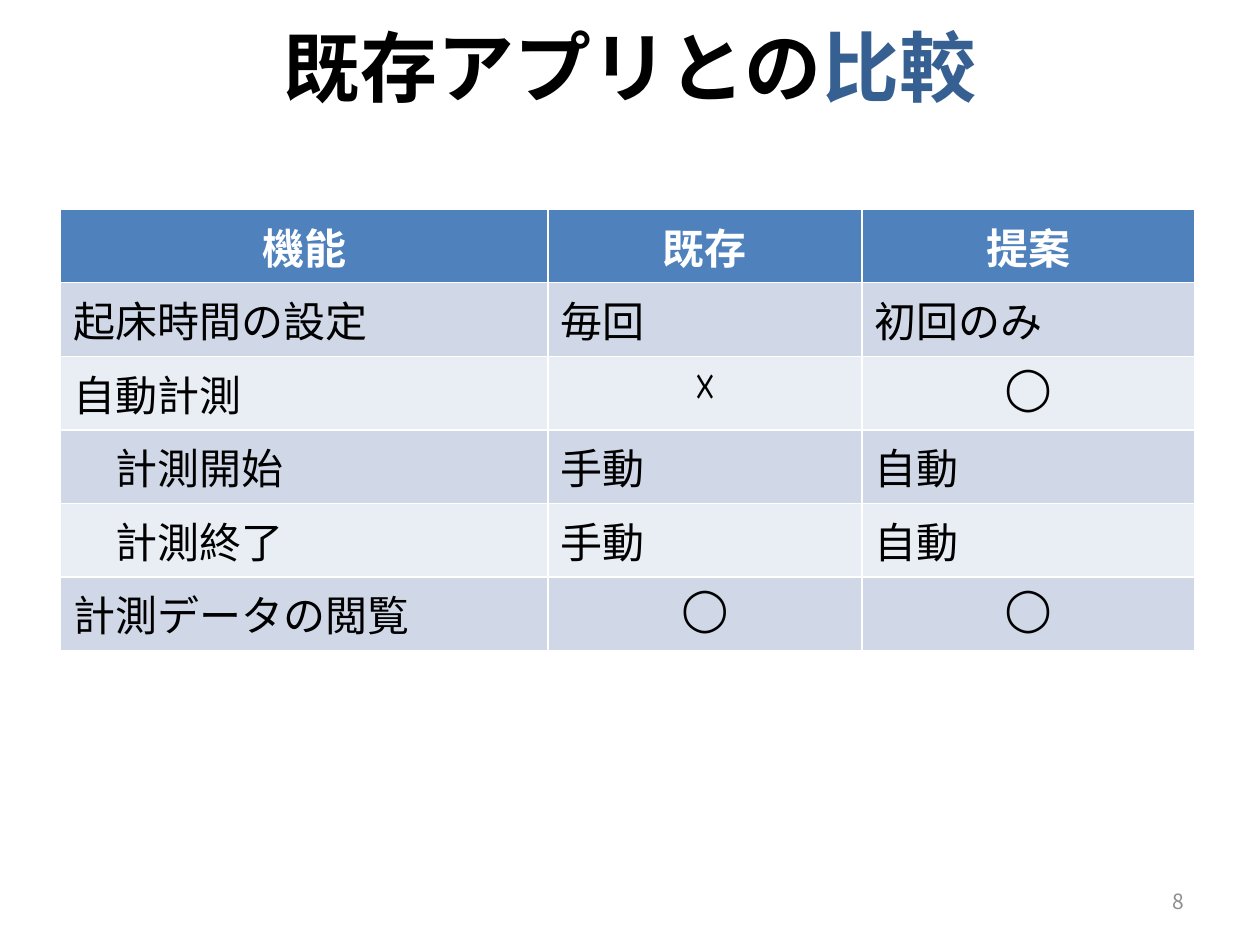
from lxml import etree
from pptx import Presentation
from pptx.dml.color import RGBColor
from pptx.enum.text import MSO_ANCHOR, PP_ALIGN
from pptx.oxml.ns import qn
from pptx.util import Inches, Pt

LEFT, MID, RIGHT = PP_ALIGN.LEFT, PP_ALIGN.CENTER, PP_ALIGN.RIGHT
CENTRE = MSO_ANCHOR.MIDDLE

BLACK = RGBColor(0x00, 0x00, 0x00)
WHITE = RGBColor(0xFF, 0xFF, 0xFF)
NAVY = RGBColor(0x37, 0x60, 0x92)
BLUE = RGBColor(0x4F, 0x81, 0xBD)
GREY = RGBColor(0x8C, 0x8C, 0x8C)
BANDS = RGBColor(0xE9, 0xED, 0xF4), RGBColor(0xD0, 0xD8, 0xE8)
NOTO, LATIN = "Noto Sans CJK JP", "Calibri"

TITLE = [("既存アプリとの", BLACK), ("比較", NAVY)]
PAGE = "8"
HEAD = ("機能", "既存", "提案")
ROWS = [
    ("起床時間の設定", "毎回", "初回のみ"),
    ("自動計測", "☓", "◯"),
    ("計測開始", "手動", "自動"),
    ("計測終了", "手動", "自動"),
    ("計測データの閲覧", "◯", "◯"),
]
SUBS = {"計測開始", "計測終了"}
MARKS = {"☓", "◯"}
COLS = (3.87, 2.49, 2.64)
ROW = 0.41
INDENT = Pt(24)


def write(frame, text, size=24, face=LATIN, color=BLACK, bold=False, align=LEFT):
    """Add a run to the first paragraph of the frame."""
    para = frame.paragraphs[0]
    para.alignment = align
    run = para.add_run()
    run.text = text
    font = run.font
    font.size, font.name, font.bold = Pt(size), face, bold
    font.color.rgb = color
    east = etree.Element(qn("a:ea"), typeface=NOTO)
    font._element.find(qn("a:latin")).addnext(east)


def place(shape, left, top, width, height):
    shape.left, shape.top = Inches(left), Inches(top)
    shape.width, shape.height = Inches(width), Inches(height)
    shape.text_frame.word_wrap = True
    shape.text_frame.vertical_anchor = CENTRE


def fill(cell, color):
    cell.fill.solid()
    cell.fill.fore_color.rgb = color


def add_grid(slide):
    size = len(ROWS) + 1, len(COLS)
    box = Inches(0.48), Inches(1.66), Inches(sum(COLS)), Inches(ROW * size[0])
    grid = slide.shapes.add_table(*size, *box).table
    for col, width in zip(grid.columns, COLS):
        col.width = Inches(width)
    for r, row in enumerate([HEAD] + ROWS):
        grid.rows[r].height = Inches(ROW)
        for c, text in enumerate(row):
            cell = grid.cell(r, c)
            if r == 0:
                fill(cell, BLUE)
                write(cell.text_frame, text, color=WHITE, bold=True, align=MID)
                continue
            fill(cell, BANDS[r % 2])
            write(cell.text_frame, text, align=MID if text in MARKS else LEFT)
            if text in SUBS:
                cell.margin_left += INDENT


def main():
    deck = Presentation()
    deck.slide_width, deck.slide_height = Inches(10), Inches(7.5)
    slide = deck.slides.add_slide(deck.slide_layouts[5])

    title = slide.shapes.title
    place(title, 0.5, -0.1, 9, 1.25)
    for text, color in TITLE:
        write(title.text_frame, text, size=44, face=NOTO, color=color,
              bold=True, align=MID)

    add_grid(slide)

    page = slide.shapes.add_textbox(0, 0, 0, 0)
    place(page, 7.17, 6.95, 2.33, 0.4)
    write(page.text_frame, PAGE, size=12, face=NOTO, color=GREY, align=RIGHT)

    deck.save("out.pptx")


if __name__ == "__main__":
    main()
